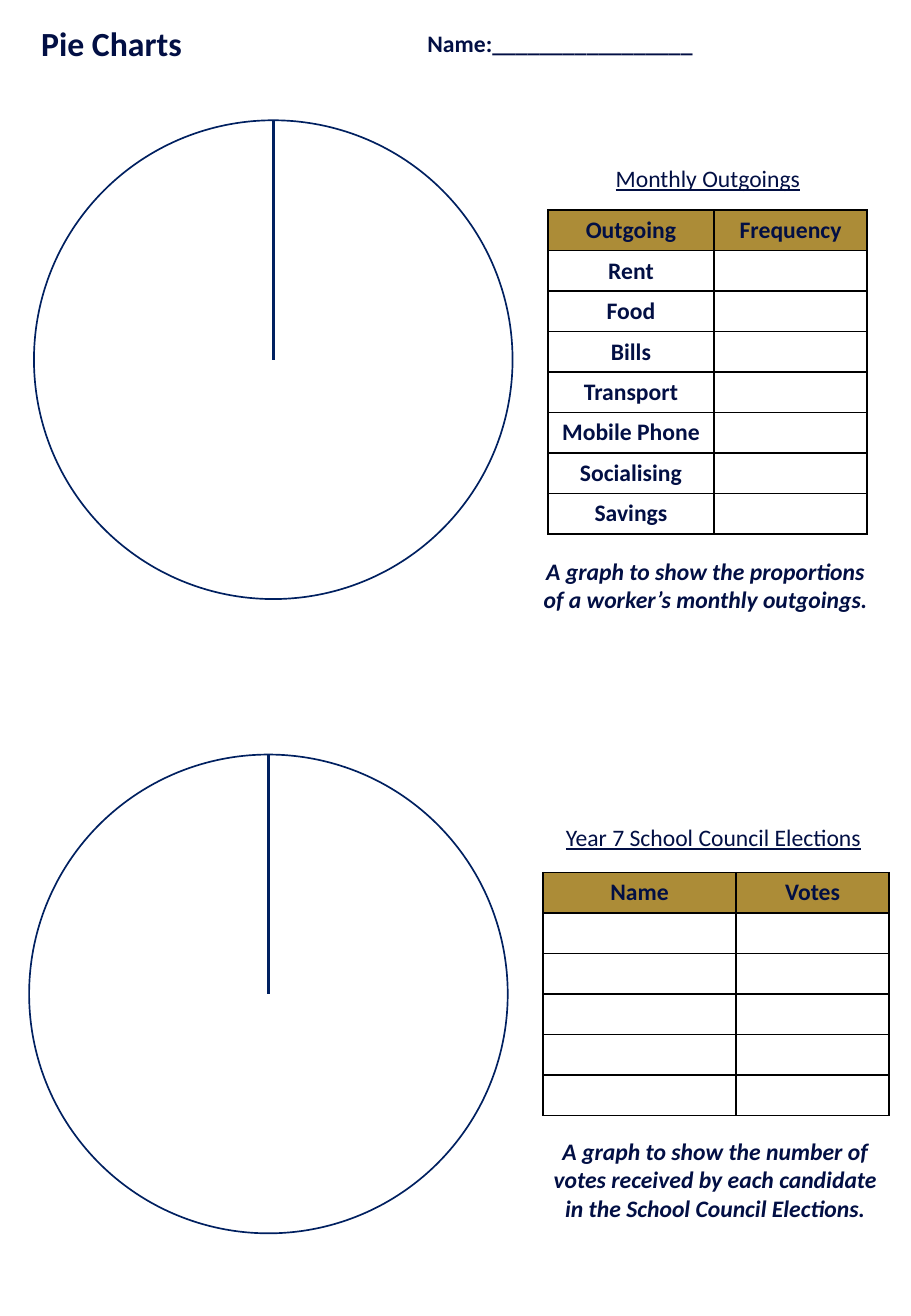
from lxml import etree
from pptx import Presentation
from pptx.dml.color import RGBColor
from pptx.enum.shapes import MSO_CONNECTOR, MSO_SHAPE
from pptx.enum.text import MSO_ANCHOR, MSO_AUTO_SIZE, PP_ALIGN
from pptx.oxml.ns import qn
from pptx.util import Inches, Pt

HEADINGS = [
    # text, (left, top, width, height), type size
    ("Pie Charts", (0.24, 0.14, 1.37, 0.44), "title"),
    ("Name:_________________", (3.42, 0.19, 2.41, 0.34), "body"),
]

OUTGOINGS = ["Rent", "Food", "Bills", "Transport", "Mobile Phone",
             "Socialising", "Savings"]

EXERCISES = [
    {
        "circle": (0.28, 0.99),
        "topic": ("Monthly Outgoings", (4.97, 1.3, 1.74, 0.34)),
        "table": (4.51, 1.73),
        "columns": (1.37, 1.26),
        "rows": [("Outgoing", "Frequency")] + [(item, "") for item in OUTGOINGS],
        "caption": ("A graph to show the proportions of a worker’s monthly outgoings.",
                    (4.31, 4.53, 3, 0.57)),
    },
    {
        "circle": (0.24, 6.21),
        "topic": ("Year 7 School Council Elections", (4.56, 6.72, 2.66, 0.34)),
        "table": (4.47, 7.18),
        "columns": (1.59, 1.26),
        "rows": [("Name", "Votes")] + [("", "")] * 5,
        "caption": ("A graph to show the number of votes received by each candidate "
                    "in the School Council Elections.", (4.39, 9.3, 3, 0.81)),
    },
]

THEME = {
    "font": "Calibri",
    "ink": "020F44",
    "circle": "002060",
    "header": "AC8C37",
    "grid": "000000",
    "paper": "FFFFFF",
    "title": 20,
    "body": 14,
}
DIAMETER = 3.94
ROW_HEIGHT = 1 / 3


def color(name):
    return RGBColor.from_string(THEME[name])


def inches(values):
    return [Inches(value) for value in values]


def write(frame, text, size="body", align=None, **style):
    paragraph = frame.paragraphs[0]
    paragraph.alignment = align
    run = paragraph.add_run()
    run.text = text
    run.font.color.rgb = color("ink")
    style.update(name=THEME["font"], size=Pt(THEME[size]))
    for key, value in style.items():
        setattr(run.font, key, value)


def add_label(slide, text, box, size="body", **style):
    """Add a one-line text box that does not wrap."""
    frame = slide.shapes.add_textbox(*inches(box)).text_frame
    frame.word_wrap = False
    frame.auto_size = MSO_AUTO_SIZE.SHAPE_TO_FIT_TEXT
    write(frame, text, size, **style)


def add_blank_pie(slide, left, top):
    """Add an empty circle with its starting radius."""
    circle = slide.shapes.add_shape(
        MSO_SHAPE.OVAL, *inches((left, top, DIAMETER, DIAMETER)))
    circle.shadow.inherit = False
    circle.fill.solid()
    circle.fill.fore_color.rgb = color("paper")
    center_x, center_y = left + DIAMETER / 2, top + DIAMETER / 2
    radius = slide.shapes.add_connector(
        MSO_CONNECTOR.STRAIGHT, *inches((center_x, top, center_x, center_y)))
    radius.begin_connect(circle, 0)
    etree.SubElement(radius._element.spPr, qn("a:effectLst"))
    for outline, width in ((circle.line, 1), (radius.line, 1.5)):
        outline.color.rgb = color("circle")
        outline.width = Pt(width)


def add_borders(cell):
    properties = cell._tc.get_or_add_tcPr()
    for position, side in enumerate(("a:lnL", "a:lnR", "a:lnT", "a:lnB")):
        border = etree.Element(qn(side), w=str(Pt(1)))
        fill = etree.SubElement(border, qn("a:solidFill"))
        etree.SubElement(fill, qn("a:srgbClr"), val=THEME["grid"])
        properties.insert(position, border)


def fill_cell(cell, text, is_header):
    cell.vertical_anchor = MSO_ANCHOR.MIDDLE
    cell.margin_top = cell.margin_bottom = Inches(0.04)
    if is_header:
        cell.fill.solid()
        cell.fill.fore_color.rgb = color("header")
    else:
        cell.fill.background()
    if text:
        write(cell.text_frame, text, align=PP_ALIGN.CENTER, bold=True)
    else:
        etree.SubElement(cell.text_frame.paragraphs[0]._p, qn("a:endParaRPr"),
                         sz=str(THEME["body"] * 100))
    add_borders(cell)


def add_tally(slide, left, top, columns, rows):
    box = inches((left, top, sum(columns), ROW_HEIGHT * len(rows)))
    tally = slide.shapes.add_table(len(rows), len(columns), *box).table
    tally.horz_banding = False
    for column, width in zip(tally.columns, columns):
        column.width = Inches(width)
    for r, texts in enumerate(rows):
        tally.rows[r].height = Inches(ROW_HEIGHT)
        for c, text in enumerate(texts):
            fill_cell(tally.cell(r, c), text, is_header=r == 0)


def add_caption(slide, text, box):
    caption = slide.shapes.add_shape(MSO_SHAPE.RECTANGLE, *inches(box))
    caption.shadow.inherit = False
    caption.fill.background()
    caption.line.color.rgb = color("paper")
    caption.line.width = Pt(0.75)
    caption.text_frame.word_wrap = True
    caption.text_frame.auto_size = MSO_AUTO_SIZE.SHAPE_TO_FIT_TEXT
    write(caption.text_frame, text, align=PP_ALIGN.CENTER, bold=True, italic=True)


def main():
    deck = Presentation()
    deck.slide_width, deck.slide_height = inches((7.5, 10.83))
    slide = deck.slides.add_slide(deck.slide_layouts[6])
    for text, box, size in HEADINGS:
        add_label(slide, text, box, size, bold=True)
    for exercise in EXERCISES:
        add_blank_pie(slide, *exercise["circle"])
        add_label(slide, *exercise["topic"], underline=True)
        add_tally(slide, *exercise["table"], exercise["columns"], exercise["rows"])
        add_caption(slide, *exercise["caption"])
    deck.save("out.pptx")


if __name__ == "__main__":
    main()
